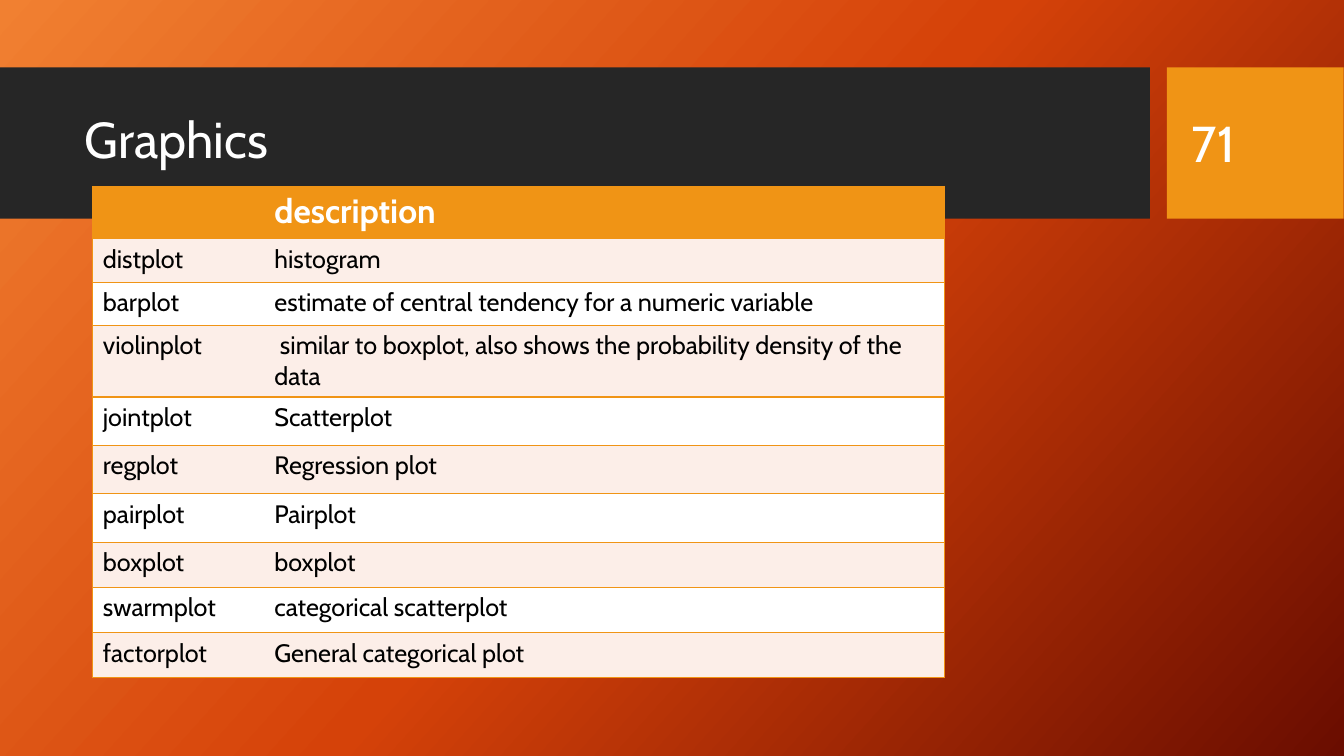
from copy import deepcopy

from pptx import Presentation
from pptx.dml.color import RGBColor
from pptx.enum import shapes, text
from pptx.oxml import ns
from pptx.util import Cm, Pt

ORANGE, DARK, WHITE, BLACK, PINK = "F09415", "262626", "FFFFFF", "000000", "FCEEE8"
STOPS = [(0, "F18031"), (0.5, "D54209"), (1, "6A0D00")]
PLOTS = [
    ("", "description", 1.32),
    ("distplot", "histogram", 1.09),
    ("barplot", "estimate of central tendency for a numeric variable", 1.09),
    ("violinplot", " similar to boxplot, also shows the probability density of the data", 1.8),
    ("jointplot", "Scatterplot", 1.22),
    ("regplot", "Regression plot", 1.22),
    ("pairplot", "Pairplot", 1.22),
    ("boxplot", "boxplot", 1.14),
    ("swarmplot", "categorical scatterplot", 1.14),
    ("factorplot", "General categorical plot", 1.14),
]


def rgb(code):
    return RGBColor.from_string(code)


class Deck:
    font = "Cabin"

    def __init__(self):
        self.prs = Presentation()
        self.prs.slide_width, self.prs.slide_height = Cm(33.87), Cm(19.05)
        self.slide = self.prs.slides.add_slide(self.prs.slide_layouts[5])

    def backdrop(self, stops, angle):
        """Fill the background with a gradient running clockwise by angle."""
        fill = self.slide.background.fill
        fill.gradient()
        fill.gradient_angle = 360 - angle
        items = self.slide.element.find(".//" + ns.qn("a:gsLst"))
        while len(items) < len(stops):
            items.append(deepcopy(items[0]))
        for stop, (pos, code) in zip(fill.gradient_stops, stops):
            stop.position = pos
            stop.color.rgb = rgb(code)

    def bar(self, box, code):
        shape = self.slide.shapes.add_shape(shapes.MSO_SHAPE.RECTANGLE, *map(Cm, box))
        shape.shadow.inherit = False
        shape.fill.solid()
        shape.fill.fore_color.rgb = rgb(code)
        shape.line.fill.background()

    def put(self, frame, words, size, code, bold=False):
        """Add a run to the first paragraph and return that paragraph."""
        para = frame.paragraphs[0]
        para.alignment = text.PP_ALIGN.LEFT
        run = para.add_run()
        run.text = words
        run.font.name, run.font.size, run.font.bold = self.font, Pt(size), bold
        run.font.color.rgb = rgb(code)
        return para

    def center(self, frame):
        frame.word_wrap = True
        frame.auto_size = text.MSO_AUTO_SIZE.NONE
        frame.vertical_anchor = text.MSO_ANCHOR.MIDDLE

    def title(self, box, words):
        """Place the title in front of what is drawn so far."""
        shape = self.slide.shapes.title
        shape.left, shape.top, shape.width, shape.height = map(Cm, box)
        shape.element.getparent().append(shape.element)
        self.center(shape.text_frame)
        self.put(shape.text_frame, words, 36, WHITE).line_spacing = 0.9

    def label(self, box, words):
        frame = self.slide.shapes.add_textbox(*map(Cm, box)).text_frame
        self.center(frame)
        self.put(frame, words, 36, WHITE)

    def edge(self, cell, side, code):
        """Draw one cell border, or clear it when code is None."""
        props = cell._tc.get_or_add_tcPr()
        line = props.makeelement(ns.qn("a:ln" + side), {"w": str(Pt(1))})
        props.append(line)
        if code is None:
            line.append(line.makeelement(ns.qn("a:noFill"), {}))
            return
        fill = line.makeelement(ns.qn("a:solidFill"), {})
        fill.append(fill.makeelement(ns.qn("a:srgbClr"), {"val": code}))
        line.append(fill)

    def table(self, left, top, widths, rows):
        high = sum(row[-1] for row in rows)
        box = map(Cm, (left, top, sum(widths), high))
        grid = self.slide.shapes.add_table(len(rows), len(widths), *box).table
        grid.first_row = grid.horz_banding = False
        for col, width in zip(grid.columns, widths):
            col.width = Cm(width)
        for r, (*words, height) in enumerate(rows):
            grid.rows[r].height = Cm(height)
            back = ORANGE if r == 0 else PINK if r % 2 else WHITE
            style = (24, WHITE, True) if r == 0 else (18, BLACK)
            for c, word in enumerate(words):
                cell = grid.cell(r, c)
                self.edge(cell, "L", ORANGE if c == 0 else None)
                self.edge(cell, "R", ORANGE if c == len(words) - 1 else None)
                self.edge(cell, "T", ORANGE)
                self.edge(cell, "B", ORANGE)
                cell.fill.solid()
                cell.fill.fore_color.rgb = rgb(back)
                if word:
                    self.put(cell.text_frame, word, *style)


def main():
    deck = Deck()
    deck.backdrop(STOPS, 42)
    deck.bar((0, 1.7, 28.98, 3.81), DARK)
    deck.bar((29.41, 1.7, 4.45, 3.81), ORANGE)
    deck.title((1.88, 2.08, 26.7, 3), "Graphics")
    deck.label((29.79, 2.08, 3.2, 3.02), "71")
    deck.table(2.34, 4.7, (4.32, 17.15), PLOTS)
    deck.prs.save("out.pptx")


if __name__ == "__main__":
    main()
